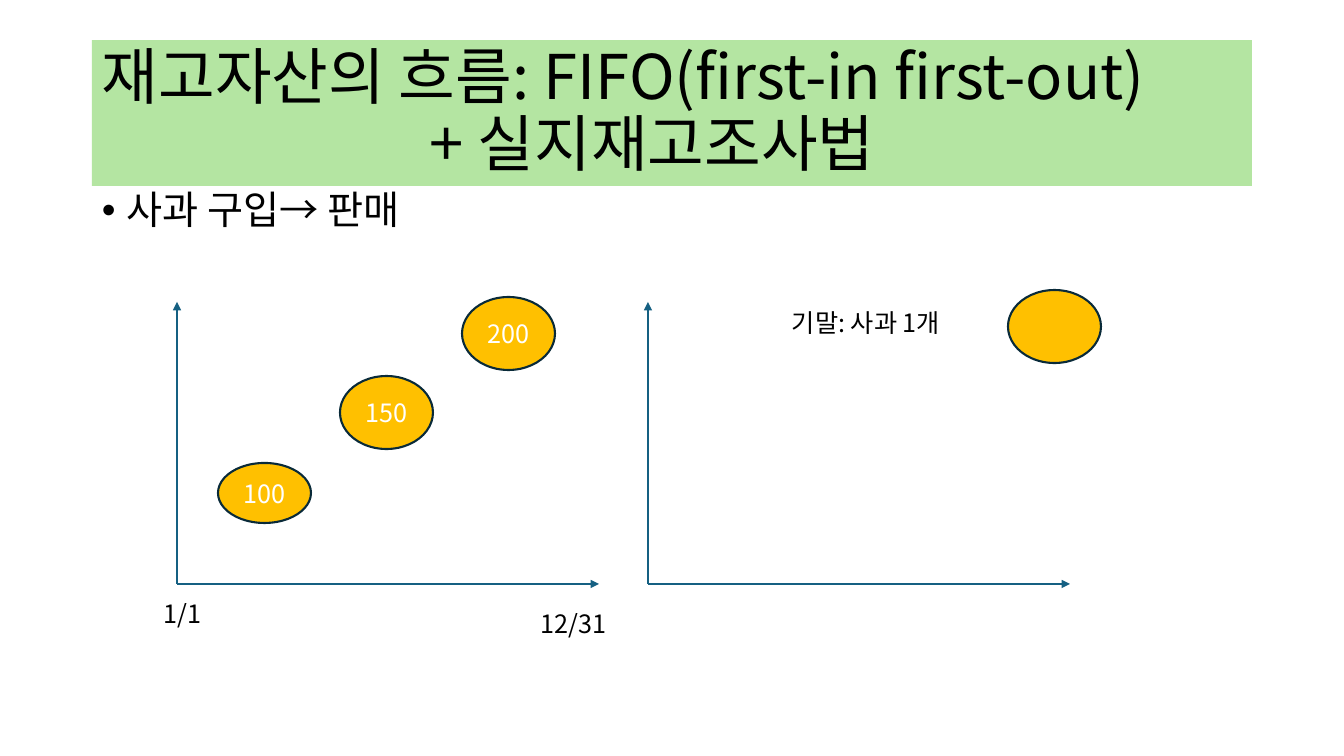
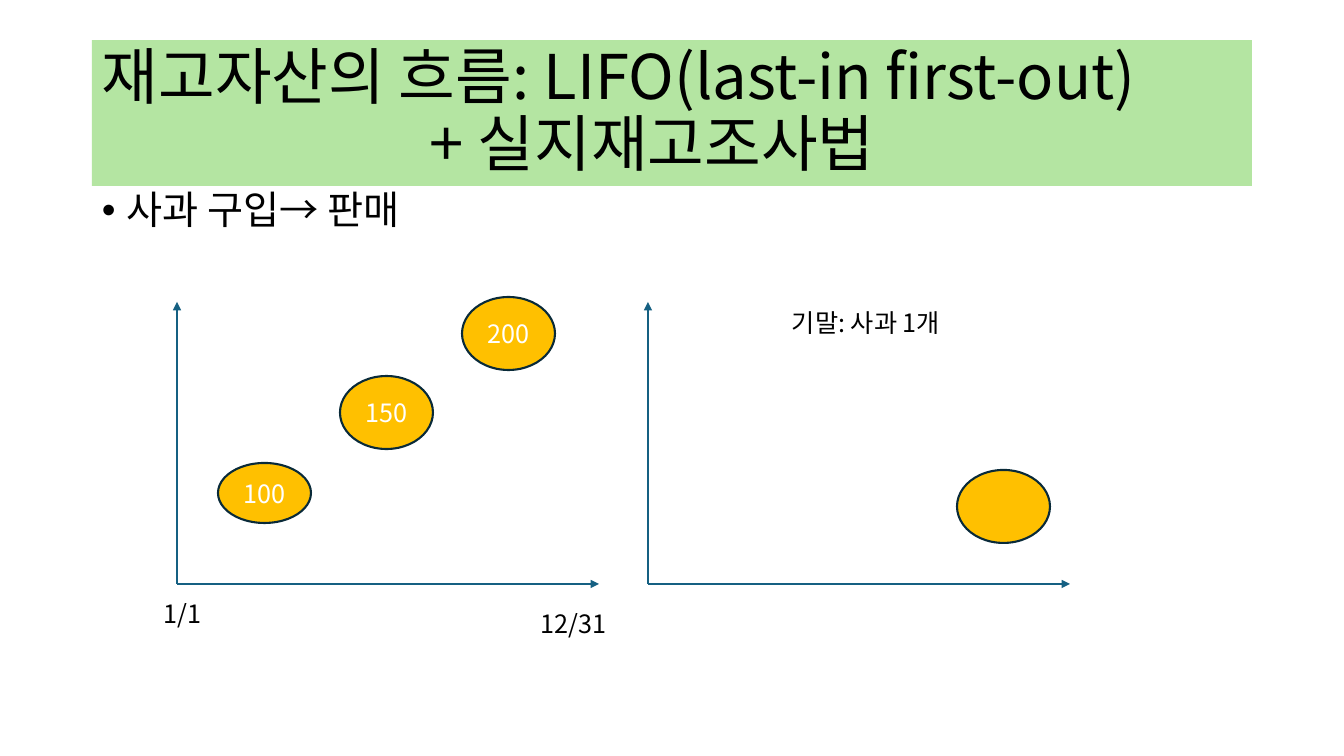
from lxml.etree import SubElement
from pptx import Presentation
from pptx.dml.color import RGBColor
from pptx.enum.shapes import MSO_CONNECTOR, MSO_SHAPE
from pptx.enum.text import MSO_ANCHOR, PP_ALIGN
from pptx.oxml.ns import qn
from pptx.util import Pt

PAGE_WIDTH, PAGE_HEIGHT = 1344, 756
SCALE = 12192000 / PAGE_WIDTH

BLACK = RGBColor(0x00, 0x00, 0x00)
WHITE = RGBColor(0xFF, 0xFF, 0xFF)
BAND_GREEN = RGBColor(0xB4, 0xE5, 0xA2)
AXIS_BLUE = RGBColor(0x15, 0x60, 0x82)
APPLE_YELLOW = RGBColor(0xFF, 0xC0, 0x00)
APPLE_EDGE = RGBColor(0x09, 0x2A, 0x39)

AXIS_WIDTH, AXIS_HEIGHT, AXIS_BOTTOM = 422, 282, 584
APPLE_WIDTH, APPLE_HEIGHT = 93, 73


def px(length):
    return round(length * SCALE)


class Deck:
    font_name = "Noto Sans CJK KR"

    def __init__(self):
        self.presentation = Presentation()
        self.presentation.slide_width = px(PAGE_WIDTH)
        self.presentation.slide_height = px(PAGE_HEIGHT)
        self.page = None

    def add_page(self):
        blank = self.presentation.slide_layouts[6]
        self.page = self.presentation.slides.add_slide(blank)

    def style(self, para, size, color):
        font = para.font
        font.size = Pt(size)
        font.color.rgb = color
        font.name = self.font_name
        defaults = para._p.pPr.find(qn("a:defRPr"))
        SubElement(defaults, qn("a:ea"), typeface=self.font_name)

    def shape(self, kind, left, top, width, height, fill):
        shape = self.page.shapes.add_shape(
            kind, px(left), px(top), px(width), px(height))
        shape.shadow.inherit = False
        shape.fill.solid()
        shape.fill.fore_color.rgb = fill
        return shape

    def title(self, first_line, second_line):
        band = self.shape(MSO_SHAPE.RECTANGLE, 92, 40, 1160, 146, BAND_GREEN)
        band.line.fill.background()
        frame = band.text_frame
        frame.word_wrap = True
        frame.vertical_anchor = MSO_ANCHOR.MIDDLE
        paras = frame.paragraphs[0], frame.add_paragraph()
        for para, text, indent in zip(paras, (first_line, second_line), (0, 328)):
            para.text = text
            para.alignment = PP_ALIGN.LEFT
            para.line_spacing = 0.9
            para._p.get_or_add_pPr().set("marL", str(px(indent)))
            self.style(para, 44, BLACK)

    def text(self, text, left, top, width, height=40, size=18):
        box = self.page.shapes.add_textbox(px(left), px(top), px(width), px(height))
        box.text_frame.word_wrap = True
        para = box.text_frame.paragraphs[0]
        para.text = text
        self.style(para, size, BLACK)
        return para

    def bullet(self, text):
        box = self.page.shapes.add_textbox(px(92), px(186), px(1160), px(480))
        box.text_frame.word_wrap = True
        para = box.text_frame.paragraphs[0]
        para.text = text
        para.line_spacing = 0.9
        properties = para._p.get_or_add_pPr()
        properties.set("marL", str(px(25)))
        properties.set("indent", str(px(-25)))
        SubElement(properties, qn("a:buFont"), typeface="Arial")
        SubElement(properties, qn("a:buChar"), char="•")
        self.style(para, 28, BLACK)

    def arrow(self, start, end):
        line = self.page.shapes.add_connector(
            MSO_CONNECTOR.STRAIGHT, *map(px, start + end))
        line.line.color.rgb = AXIS_BLUE
        line.line.width = Pt(1.5)
        SubElement(line.line._get_or_add_ln(), qn("a:tailEnd"), type="triangle")
        SubElement(line._element.spPr, qn("a:effectLst"))

    def axes(self, left):
        origin = (left, AXIS_BOTTOM)
        self.arrow(origin, (left + AXIS_WIDTH, AXIS_BOTTOM))
        self.arrow(origin, (left, AXIS_BOTTOM - AXIS_HEIGHT))

    def apple(self, left, top, height=APPLE_HEIGHT, price=None):
        oval = self.shape(MSO_SHAPE.OVAL, left, top, APPLE_WIDTH, height, APPLE_YELLOW)
        oval.line.color.rgb = APPLE_EDGE
        oval.line.width = Pt(1.5)
        if price is not None:
            oval.text_frame.vertical_anchor = MSO_ANCHOR.MIDDLE
            para = oval.text_frame.paragraphs[0]
            para.text = str(price)
            para.alignment = PP_ALIGN.CENTER
            self.style(para, 18, WHITE)


def add_flow_page(deck, method, remaining_apple):
    """Add a page with purchases on the left and the closing stock on the right."""
    deck.add_page()
    deck.title(f"재고자산의 흐름: {method}", "+ 실지재고조사법")
    deck.bullet("사과 구입→ 판매")
    deck.axes(177)
    deck.apple(218, 463, height=60, price=100)
    deck.apple(340, 376, price=150)
    deck.apple(462, 297, price=200)
    deck.axes(648)
    deck.apple(*remaining_apple)
    deck.text("기말: 사과 1개", 782, 302, 259)
    deck.text("12/31", 531, 603, 86)
    deck.text("1/1", 154, 593, 86)


def main():
    deck = Deck()
    add_flow_page(deck, "FIFO(first-in first-out)", (1008, 290))
    add_flow_page(deck, "LIFO(last-in first-out)", (957, 470))
    deck.presentation.save("out.pptx")


if __name__ == "__main__":
    main()
